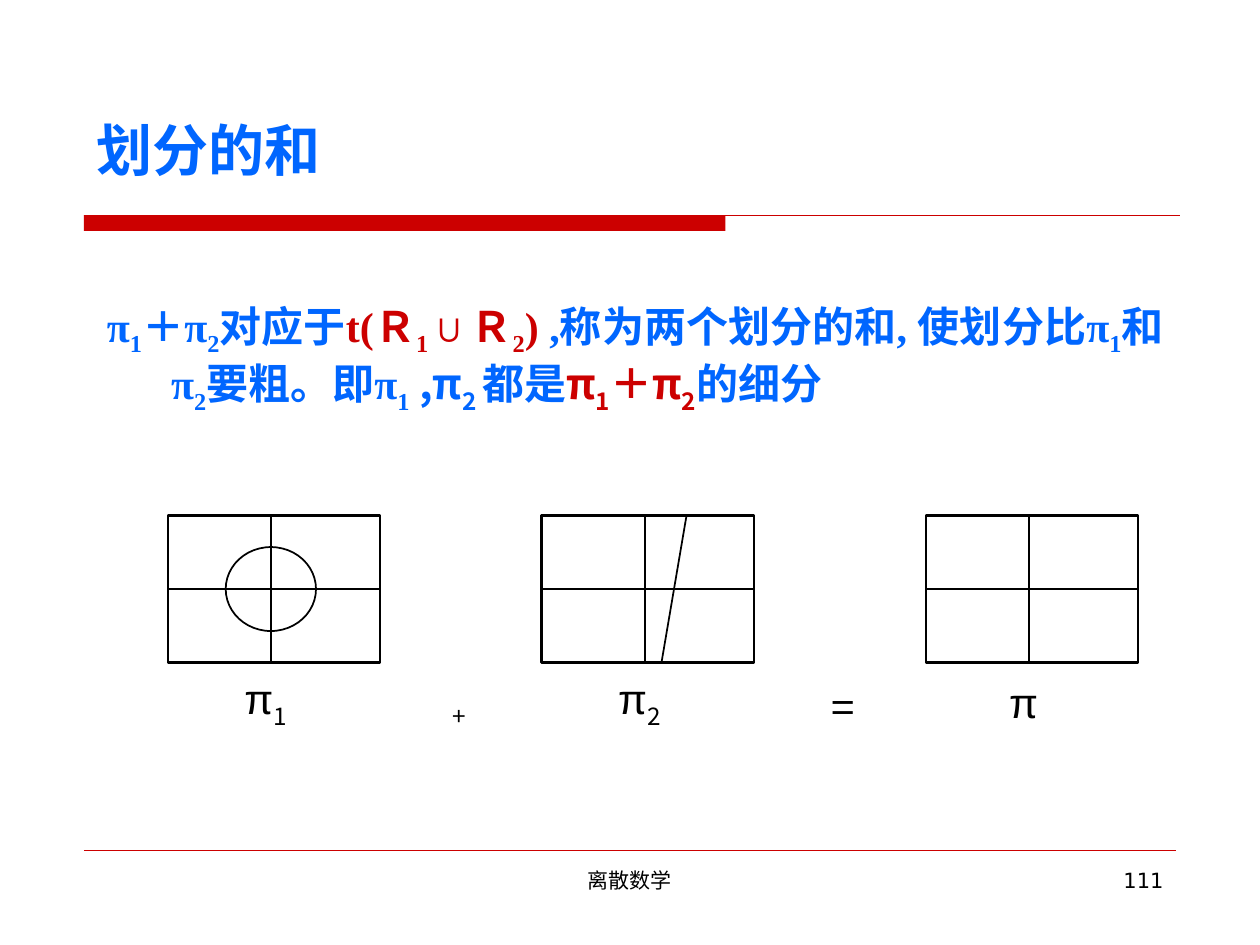
from pptx import Presentation
from pptx.dml.color import RGBColor
from pptx.enum.shapes import MSO_CONNECTOR, MSO_SHAPE
from pptx.enum.text import MSO_ANCHOR, MSO_AUTO_SIZE, PP_ALIGN
from pptx.oxml.ns import qn
from pptx.util import Inches, Pt
from lxml import etree

BLUE = RGBColor(0x00, 0x66, 0xFF)
RED = RGBColor(0xCC, 0x00, 0x00)
BLACK = RGBColor(0x00, 0x00, 0x00)
SANS, SERIF, CJK, ARIAL = "DejaVu Sans", "Times New Roman", "Noto Sans CJK SC", "Arial"
LEFT, MID, RIGHT, FULL = PP_ALIGN.LEFT, PP_ALIGN.CENTER, PP_ALIGN.RIGHT, PP_ALIGN.JUSTIFY
TOP, CENTER, BOTTOM = MSO_ANCHOR.TOP, MSO_ANCHOR.MIDDLE, MSO_ANCHOR.BOTTOM
RECT, OVAL = MSO_SHAPE.RECTANGLE, MSO_SHAPE.OVAL
STRAIGHT = MSO_CONNECTOR.STRAIGHT
WIDE, HIGH = 120, 90  # grid columns and rows


class Board:
    """Draws on one slide; all lengths are grid columns and rows."""

    def __init__(self, deck):
        self.deck = deck
        self.slide = deck.slides.add_slide(deck.slide_layouts[5])
        self.shapes = self.slide.shapes

    def scale(self, *cells):
        """Turn alternating columns and rows into slide lengths."""
        units = (self.deck.slide_width / WIDE, self.deck.slide_height / HIGH)
        return [int(cell * units[i % 2]) for i, cell in enumerate(cells)]

    def letter(self, shape, parts, size, align=LEFT, anchor=TOP, bold=False):
        """Fill a shape with (text, font, colour) parts; _x_ marks a subscript."""
        frame = shape.text_frame
        frame.word_wrap = True
        frame.auto_size = MSO_AUTO_SIZE.NONE
        frame.vertical_anchor = anchor
        para = frame.paragraphs[0]
        para.alignment = align
        para.font.size, para.font.bold = Pt(size), bold
        for text, font, color in parts:
            for i, piece in enumerate(text.split("_")):
                if not piece:
                    continue
                run = para.add_run()
                run.text = piece
                run.font.name = font
                run.font.color.rgb = color
                props = run.font._element
                etree.SubElement(props, qn("a:ea")).set("typeface", CJK)
                if i % 2:
                    props.set("baseline", "-25000")
        return para

    def title(self, text, *box):
        shape = self.shapes.title
        shape.left, shape.top, shape.width, shape.height = self.scale(*box)
        self.letter(shape, [(text, SANS, BLUE)], 32, LEFT, BOTTOM, True)

    def text(self, parts, box, size=24, **style):
        shape = self.shapes.add_textbox(*self.scale(*box))
        return self.letter(shape, parts, size, **style)

    def shape(self, kind, box, fill=None, line=None, width=1):
        shape = self.shapes.add_shape(kind, *self.scale(*box))
        shape.shadow.inherit = False
        if fill is None:
            shape.fill.background()
        else:
            shape.fill.solid()
            shape.fill.fore_color.rgb = fill
        if line is None:
            shape.line.fill.background()
        else:
            shape.line.color.rgb = line
            shape.line.width = Pt(width)
        return shape

    def line(self, ends, color=BLACK, width=1):
        line = self.shapes.add_connector(STRAIGHT, *self.scale(*ends))
        line.line.color.rgb = color
        line.line.width = Pt(width)
        etree.SubElement(line._element.spPr, qn("a:effectLst"))
        return line

    def label(self, parts, left, top):
        self.text(parts, (left, top, 7, 6.6), align=MID, anchor=CENTER)

    def panel(self, left, parts):
        """Draw a box cut into quarters, with its label below."""
        top, wide, high = 49.1, 20.2, 14
        box = self.shape(RECT, (left, top, wide, high), line=BLACK, width=1.5)
        row, col = top + high / 2, left + 9.8
        across = self.line((left + wide, row, left, row))
        across.begin_connect(box, 3)
        across.end_connect(box, 1)
        self.line((col, top, col, top + high))
        self.label(parts, left + 5.8, 63.5)


def main():
    deck = Presentation()
    deck.slide_width, deck.slide_height = Inches(10), Inches(7.5)
    board = Board(deck)

    board.shape(RECT, (8, 20.5, 61.1, 1.5), fill=RED)
    board.line((8, 20.5, 112.4, 20.5), RED, 0.75)
    board.line((8, 81, 112, 81), RED, 0.25)
    board.text([("离散数学", SANS, BLACK)], (41, 82, 38, 6.25), 12, align=MID)
    board.text([("111", SANS, BLACK)], (86, 82, 26, 6.25), 12, align=RIGHT)
    board.title("划分的和", 8, 9, 102, 9)

    body = board.text([
        ("π_1_＋π_2_对应于", SERIF, BLUE),
        ("t(Ｒ_1_∪Ｒ_2_)", SERIF, RED),
        (" ,称为两个划分的和, 使划分比π_1_和 π_2_要粗。即π_1_", SERIF, BLUE),
        (" ,π_2 _都是", CJK, BLUE),
        ("π_1_＋π_2_", CJK, RED),
        ("的细分", CJK, BLUE),
    ], (9, 28, 103, 55), align=FULL, bold=True)
    body.space_before = Pt(15)
    props = body._p.get_or_add_pPr()
    props.set("marL", str(Inches(0.51)))
    props.set("indent", str(-Inches(0.51)))

    pi = ("π", ARIAL, BLACK)
    board.panel(16, [pi, ("_1_", CJK, BLACK)])
    board.shape(OVAL, (21.5, 52.1, 8.6, 8), line=BLACK)
    board.label([("_+_", CJK, BLACK)], 40.2, 63.5)
    board.panel(51.6, [pi, ("_2_", CJK, BLACK)])
    board.line((65.4, 49, 63, 63.1))
    board.label([("=", CJK, BLACK)], 76.8, 64)
    board.panel(88.2, [pi])

    deck.save("out.pptx")


if __name__ == "__main__":
    main()
